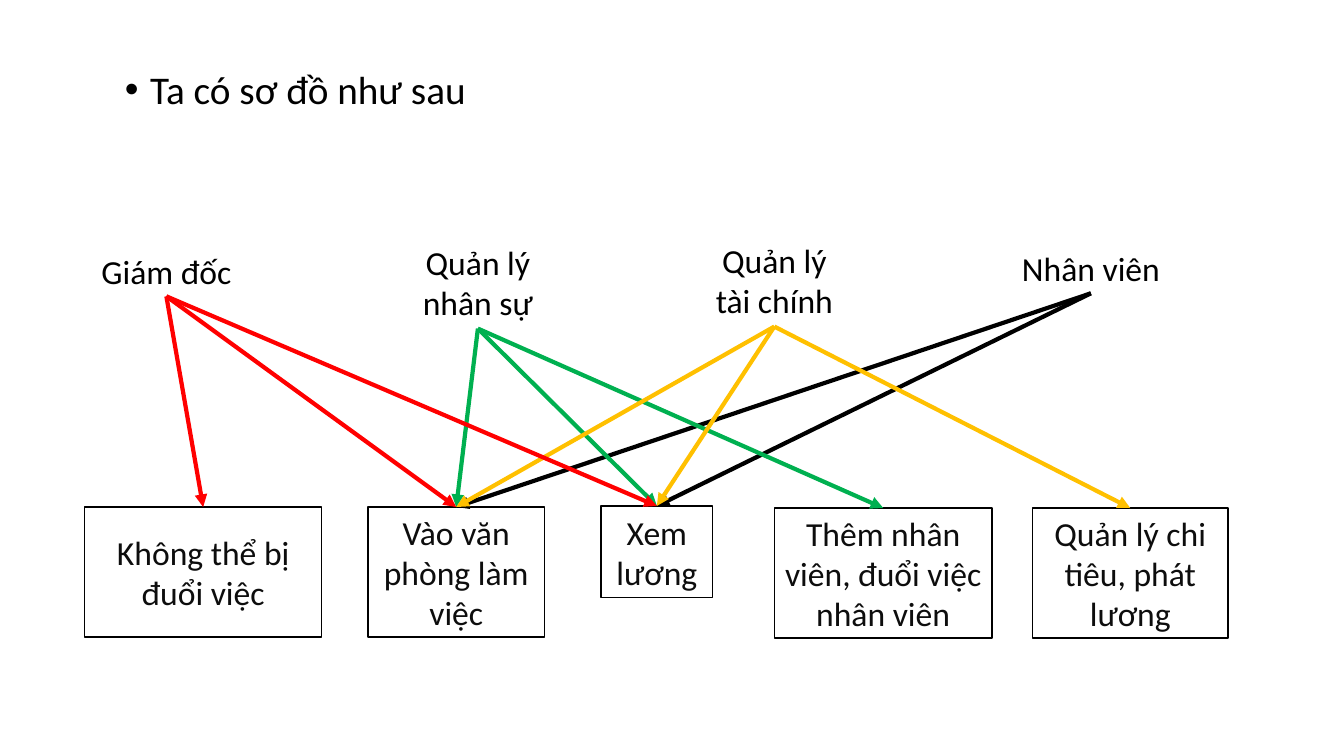
from dataclasses import dataclass

from lxml import etree
from pptx import Presentation
from pptx.dml.color import RGBColor
from pptx.enum.shapes import MSO_CONNECTOR, MSO_SHAPE
from pptx.enum.text import MSO_ANCHOR, PP_ALIGN
from pptx.oxml.ns import qn
from pptx.util import Inches, Pt

LINE = MSO_CONNECTOR.STRAIGHT
RECT = MSO_SHAPE.RECTANGLE
MIDDLE = MSO_ANCHOR.MIDDLE
CENTER = PP_ALIGN.CENTER


@dataclass
class Theme:
    font: str = "Calibri"
    black: str = "000000"
    ink: str = "0D0D0D"
    green: str = "00B050"
    gold: str = "FFC000"
    red: str = "FF0000"
    head: int = 28
    body: int = 24
    edge: int = 1
    arrow: int = 3


theme = Theme()


def write(shape, text, size, color, align=None):
    frame = shape.text_frame
    frame.word_wrap = True
    para = frame.paragraphs[0]
    para.text = text
    para.alignment = align
    for run in para.runs:
        run.font.name = theme.font
        run.font.size = Pt(size)
        run.font.color.rgb = RGBColor.from_string(color)
    return para


deck = Presentation()
deck.slide_width = Inches(13.33)
deck.slide_height = Inches(7.5)
slide = deck.slides.add_slide(deck.slide_layouts[6])
shapes = slide.shapes

# Heading with bullet
title = shapes.add_textbox(Inches(1.14), Inches(0.65), Inches(4.09), Inches(0.57))
para = write(title, "Ta có sơ đồ như sau", theme.head, theme.black)
para.line_spacing = 0.9
props = para._p.get_or_add_pPr()
props.set("marL", str(Inches(0.25)))
props.set("indent", str(-Inches(0.25)))
etree.SubElement(props, qn("a:buFont")).set("typeface", "Arial")
etree.SubElement(props, qn("a:buChar")).set("char", "•")

# Roles: text, left, top, height
role_w = 2.38
roles = {
    "boss": ("Giám đốc", 0.46, 2.44, 0.5),
    "staff": ("Nhân viên", 9.63, 2.41, 0.5),
    "money": ("Quản lý\ntài chính", 6.49, 2.33, 0.91),
    "people": ("Quản lý\nnhân sự", 3.55, 2.35, 0.91),
}
starts = {}
for role, (text, left, top, height) in roles.items():
    label = shapes.add_textbox(Inches(left), Inches(top), Inches(role_w), Inches(height))
    write(label, text, theme.body, theme.black, CENTER)
    starts[role] = (left + role_w / 2, top + height)

# Rights: text, left, top, width, height
rights = {
    "work": ("Vào văn phòng làm việc", 3.65, 5.03, 1.75, 1.29),
    "view": ("Xem lương", 5.96, 5.02, 1.11, 0.91),
    "keep": ("Không thể bị đuổi việc", 0.84, 5.03, 2.35, 1.29),
    "pay": ("Quản lý chi tiêu, phát lương", 10.24, 5.04, 1.94, 1.29),
    "hire": ("Thêm nhân viên, đuổi việc nhân viên", 7.68, 5.04, 2.16, 1.29),
}
ends = {}
for right, (text, left, top, width, height) in rights.items():
    box = shapes.add_shape(RECT, Inches(left), Inches(top), Inches(width), Inches(height))
    box.shadow.inherit = False
    box.fill.background()
    box.line.color.rgb = RGBColor.from_string(theme.black)
    box.line.width = Pt(theme.edge)
    box.text_frame.vertical_anchor = MIDDLE
    write(box, text, theme.body, theme.ink, CENTER)
    ends[right] = (left + width / 2, top)

# Arrows from each role to its rights
grants = [
    ("staff", theme.black, ["work", "view"]),
    ("people", theme.green, ["hire", "work", "view"]),
    ("money", theme.gold, ["pay", "work", "view"]),
    ("boss", theme.red, ["keep", "work", "view"]),
]
for role, color, targets in grants:
    for right in targets:
        points = [Inches(n) for n in starts[role] + ends[right]]
        arrow = shapes.add_connector(LINE, *points)
        arrow.line.color.rgb = RGBColor.from_string(color)
        arrow.line.width = Pt(theme.arrow)
        stroke = arrow.line._get_or_add_ln()
        etree.SubElement(stroke, qn("a:tailEnd")).set("type", "triangle")
        etree.SubElement(arrow._element.spPr, qn("a:effectLst"))

deck.save("out.pptx")
